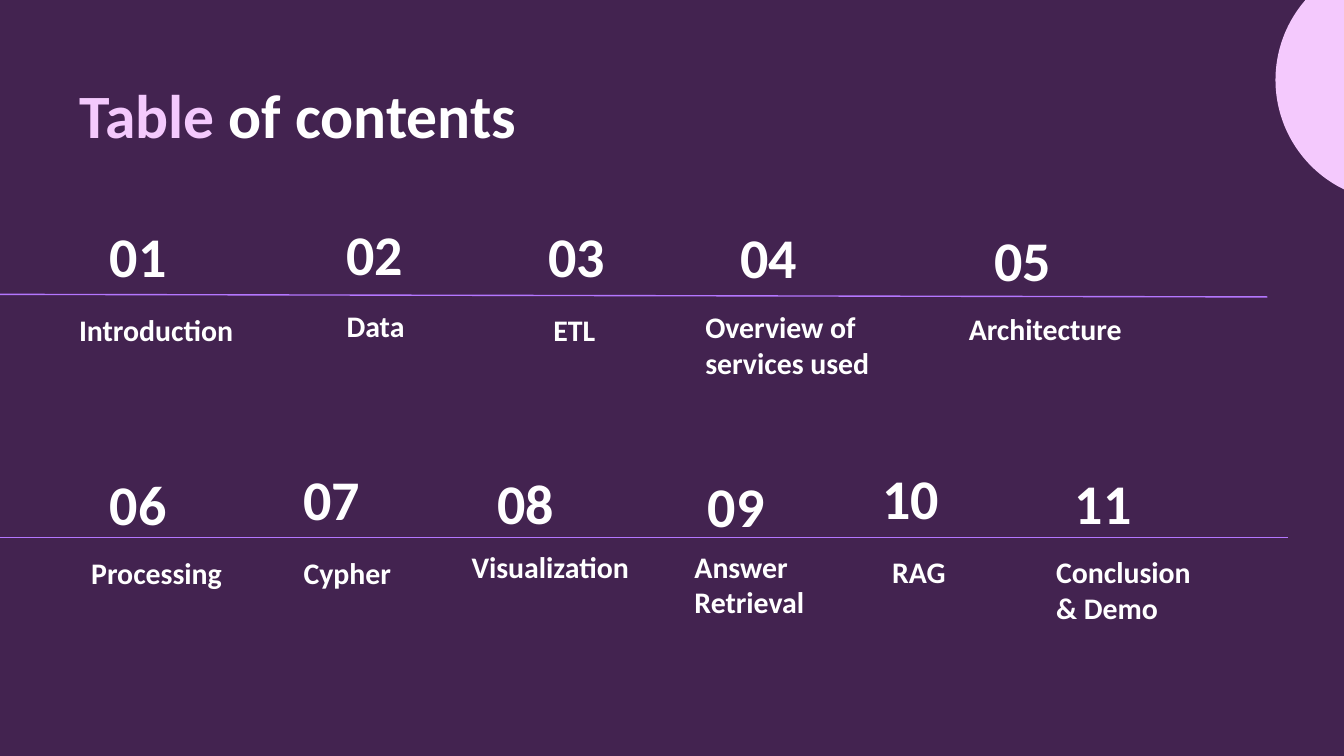
import pptx
import pptx.util
import pptx.dml.color
import pptx.enum.shapes
import pptx.enum.text
import pptx.oxml.ns
import lxml.etree

Pt = pptx.util.Pt
ANCHOR = pptx.enum.text.MSO_ANCHOR
COLORS = {"back": "432350", "pink": "F4C9FD", "text": "FFFFFF", "line": "B476FF"}
PAD, SLIM = 7.2, 3.6

# number, its left and top, label, its left, top and width, its vertical inset
FIRST = [
    ("01", 51.8, 0.8, "Introduction", 35.3, 41.8, 120.2, PAD),
    ("02", 178.6, 0.1, "Data", 178.6, 39.7, 57.6, PAD),
    ("03", 286.6, 0.8, "ETL", 289.4, 41.8, 56.9, PAD),
    ("04", 389.5, 1.5, "Overview of services used", 370.8, 40.4, 110.9, PAD),
    ("05", 525.6, 3, "Architecture", 511.9, 41.1, 108.7, PAD),
]
SECOND = [
    ("06", 51.8, 4, "Processing", 41.8, 42.2, 89.3, PAD),
    ("07", 155.5, 1.1, "Cypher", 155.5, 42.2, 71.3, PAD),
    ("08", 259.2, 3.3, "Visualization", 245.5, 42.2, 100.1, SLIM),
    ("09", 372.2, 4.7, "Answer\nRetrieval", 365, 42.2, 74.9, SLIM),
    ("10", 465.8, 0.4, "RAG", 470.9, 41.4, 56.9, PAD),
    ("11", 568.8, 3.3, "Conclusion\n& Demo", 558.7, 41.4, 92.9, PAD),
]


def tint(name):
    return pptx.dml.color.RGBColor.from_string(COLORS[name])


def write(para, text, size, color="text"):
    for i, part in enumerate(text.split("\n")):
        if i:
            para.add_line_break()
        run = para.add_run()
        run.text = part
        run.font.name = "Calibri"
        run.font.size = Pt(size)
        run.font.bold = True
        run.font.color.rgb = tint(color)


def frame(shape, anchor, inset=PAD):
    body = shape.text_frame
    body.word_wrap = inset == PAD
    body.auto_size = pptx.enum.text.MSO_AUTO_SIZE.NONE
    body.vertical_anchor = anchor
    body.margin_left = body.margin_right = Pt(PAD)
    body.margin_top = body.margin_bottom = Pt(inset)
    para = body.paragraphs[0]
    para.alignment = pptx.enum.text.PP_ALIGN.LEFT
    return para


def label(slide, box, text, size, anchor, inset=PAD):
    shape = slide.shapes.add_textbox(*map(Pt, box))
    write(frame(shape, anchor, inset), text, size)


def disc(slide, box):
    kind = pptx.enum.shapes.MSO_SHAPE.OVAL
    shape = slide.shapes.add_shape(kind, *map(Pt, box))
    shape.shadow.inherit = False
    shape.fill.solid()
    shape.fill.fore_color.rgb = tint("pink")
    shape.line.fill.background()


def head(slide, box):
    title = slide.shapes.title
    title.left, title.top, title.width, title.height = map(Pt, box)
    para = frame(title, ANCHOR.TOP)
    write(para, "Table", 33, "pink")
    write(para, " of contents", 33)


def rule(slide, start, end):
    kind = pptx.enum.shapes.MSO_CONNECTOR.STRAIGHT
    line = slide.shapes.add_connector(kind, *map(Pt, start + end))
    line.line.color.rgb = tint("line")
    line.line.width = Pt(0.75)
    lxml.etree.SubElement(line._element.spPr, pptx.oxml.ns.qn("a:effectLst"))


def row(slide, box, items, drop, rise):
    left, top, width = box
    rule(slide, (left + width, top + drop), (left, top + rise))
    for num, nx, ny, text, x, y, wide, inset in items:
        label(slide, (left + nx, top + ny, 57.6, 35.3), num, 30, ANCHOR.MIDDLE)
        label(slide, (left + x, top + y, wide, 45.6), text, 16, ANCHOR.TOP, inset)


def main():
    deck = pptx.Presentation()
    deck.slide_width, deck.slide_height = Pt(720), Pt(405)
    slide = deck.slides.add_slide(deck.slide_layouts[5])
    slide.background.fill.solid()
    slide.background.fill.fore_color.rgb = tint("back")
    disc(slide, (683.3, -22.3, 130.3, 130.3))
    head(slide, (35.3, 33.8, 607, 45.4))
    row(slide, (0, 118, 679), FIRST, 41.1, 39.7)
    row(slide, (0, 248, 689.8), SECOND, 40, 40)
    deck.save("out.pptx")


if __name__ == "__main__":
    main()
